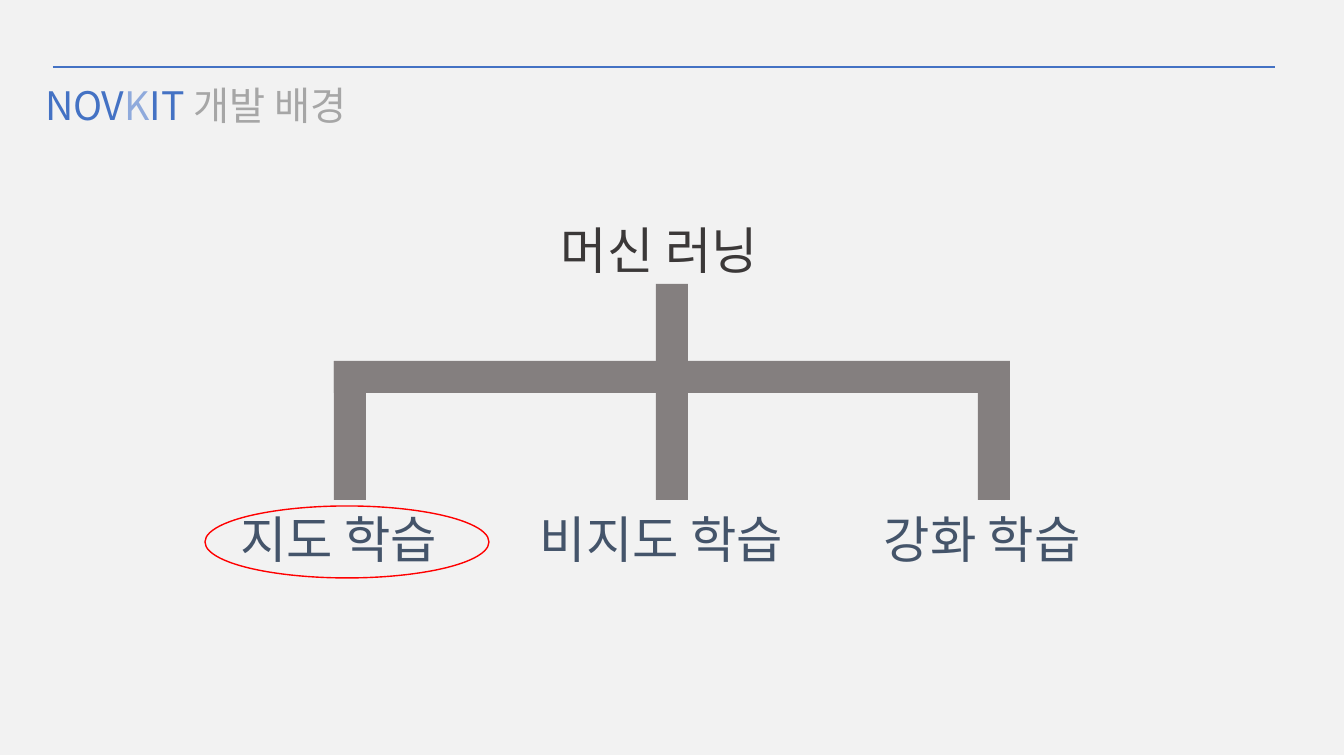
"""Build the machine learning background slide with its three-branch tree."""
from typing import NamedTuple

from lxml.etree import SubElement
from pptx import Presentation
from pptx.dml.color import RGBColor
from pptx.enum.shapes import MSO_CONNECTOR, MSO_SHAPE
from pptx.enum.text import MSO_ANCHOR, MSO_AUTO_SIZE
from pptx.oxml.ns import qn
from pptx.slide import Slide
from pptx.util import Emu, Pt

EMU_PER_PX = 914400 / 100.8
FONT = "Noto Sans CJK KR"
COLORS = {
    "backdrop": "F2F2F2",
    "accent": "4472C4",
    "accent_light": "8FAADC",
    "heading": "A6A6A6",
    "root": "3B3838",
    "branch": "44546A",
    "bar": "847F7F",
    "highlight": "FF0000",
}


class Box(NamedTuple):
    left: int
    top: int
    width: int
    height: int


class Piece(NamedTuple):
    text: str
    color: str


class Label(NamedTuple):
    box: Box
    pieces: list[Piece]
    size: int = 36
    indent: int = 10


class Figure(NamedTuple):
    box: Box
    fill: str | None = None
    line: str | None = None
    kind: MSO_SHAPE = MSO_SHAPE.RECTANGLE


BAR = 32
TREE_LEFT, TREE_TOP, TREE_BOTTOM = 334, 361, 500
BRANCH_STEP = 322
TREE_WIDTH = 2 * BRANCH_STEP + BAR
STEM_TOP = 284
BRANCH_TOP = 503
LABEL_HEIGHT = 72

BACKDROP = Figure(Box(0, -1, 1344, 756), fill="backdrop")
BRANCH_BARS = [
    Figure(Box(TREE_LEFT + i * BRANCH_STEP, top, BAR, TREE_BOTTOM - top), fill="bar")
    for i, top in enumerate((TREE_TOP, STEM_TOP, TREE_TOP))
]
CROSSBAR = Figure(Box(TREE_LEFT, TREE_TOP, TREE_WIDTH, BAR), fill="bar")
HIGHLIGHT = Figure(
    Box(205, 506, 284, LABEL_HEIGHT), line="highlight", kind=MSO_SHAPE.OVAL
)

HEADING = Label(
    Box(0, 76, 435, 57),
    [
        Piece("NOV", "accent"),
        Piece("K", "accent_light"),
        Piece("IT ", "accent"),
        Piece("개발 배경", "heading"),
    ],
    size=28,
    indent=45,
)
ROOT = Label(Box(551, 214, 241, LABEL_HEIGHT), [Piece("머신 러닝", "root")])
BRANCHES = [
    Label(Box(left, BRANCH_TOP, width, LABEL_HEIGHT), [Piece(name, "branch")])
    for name, left, width in (
        ("지도 학습", 230, 241),
        ("비지도 학습", 530, 284),
        ("강화 학습", 874, 241),
    )
]


def px(length: int) -> Emu:
    return Emu(round(length * EMU_PER_PX))


def rgb(name: str) -> RGBColor:
    return RGBColor.from_string(COLORS[name])


def apply_format(target: object, values: dict[str, object]) -> None:
    for name, value in values.items():
        setattr(target, name, value)


def draw_figure(slide: Slide, figure: Figure) -> None:
    shape = slide.shapes.add_shape(figure.kind, *map(px, figure.box))
    shape.shadow.inherit = False
    if figure.fill:
        shape.fill.solid()
        shape.fill.fore_color.rgb = rgb(figure.fill)
    else:
        shape.fill.background()
    if figure.line:
        shape.line.color.rgb = rgb(figure.line)
        shape.line.width = Pt(1)
    else:
        shape.line.fill.background()


def draw_rule(slide: Slide, left: int, right: int, y: int) -> None:
    rule = slide.shapes.add_connector(
        MSO_CONNECTOR.STRAIGHT, px(left), px(y), px(right), px(y)
    )
    rule.line.color.rgb = rgb("accent")
    rule.line.width = Pt(1.5)
    SubElement(rule.element.spPr, qn("a:effectLst"))


def draw_label(slide: Slide, label: Label) -> None:
    textbox = slide.shapes.add_textbox(*map(px, label.box))
    frame = textbox.text_frame
    apply_format(frame, {
        "word_wrap": True,
        "auto_size": MSO_AUTO_SIZE.SHAPE_TO_FIT_TEXT,
        "vertical_anchor": MSO_ANCHOR.TOP,
        "margin_left": px(label.indent),
    })
    for piece in label.pieces:
        run = frame.paragraphs[0].add_run()
        run.text = piece.text
        apply_format(run.font, {"size": Pt(label.size), "name": FONT})
        run.font.color.rgb = rgb(piece.color)
    for properties in textbox.element.iter(qn("a:rPr")):
        SubElement(properties, qn("a:ea"), typeface=FONT)


def main() -> None:
    deck = Presentation()
    apply_format(deck, {"slide_width": px(1344), "slide_height": px(756)})
    slide = deck.slides.add_slide(deck.slide_layouts[6])
    draw_figure(slide, BACKDROP)
    draw_rule(slide, 53, 1275, 67)
    for label in (HEADING, ROOT):
        draw_label(slide, label)
    for bar in (*BRANCH_BARS, CROSSBAR):
        draw_figure(slide, bar)
    for branch in BRANCHES:
        draw_label(slide, branch)
    draw_figure(slide, HIGHLIGHT)
    deck.save("out.pptx")


if __name__ == "__main__":
    main()
